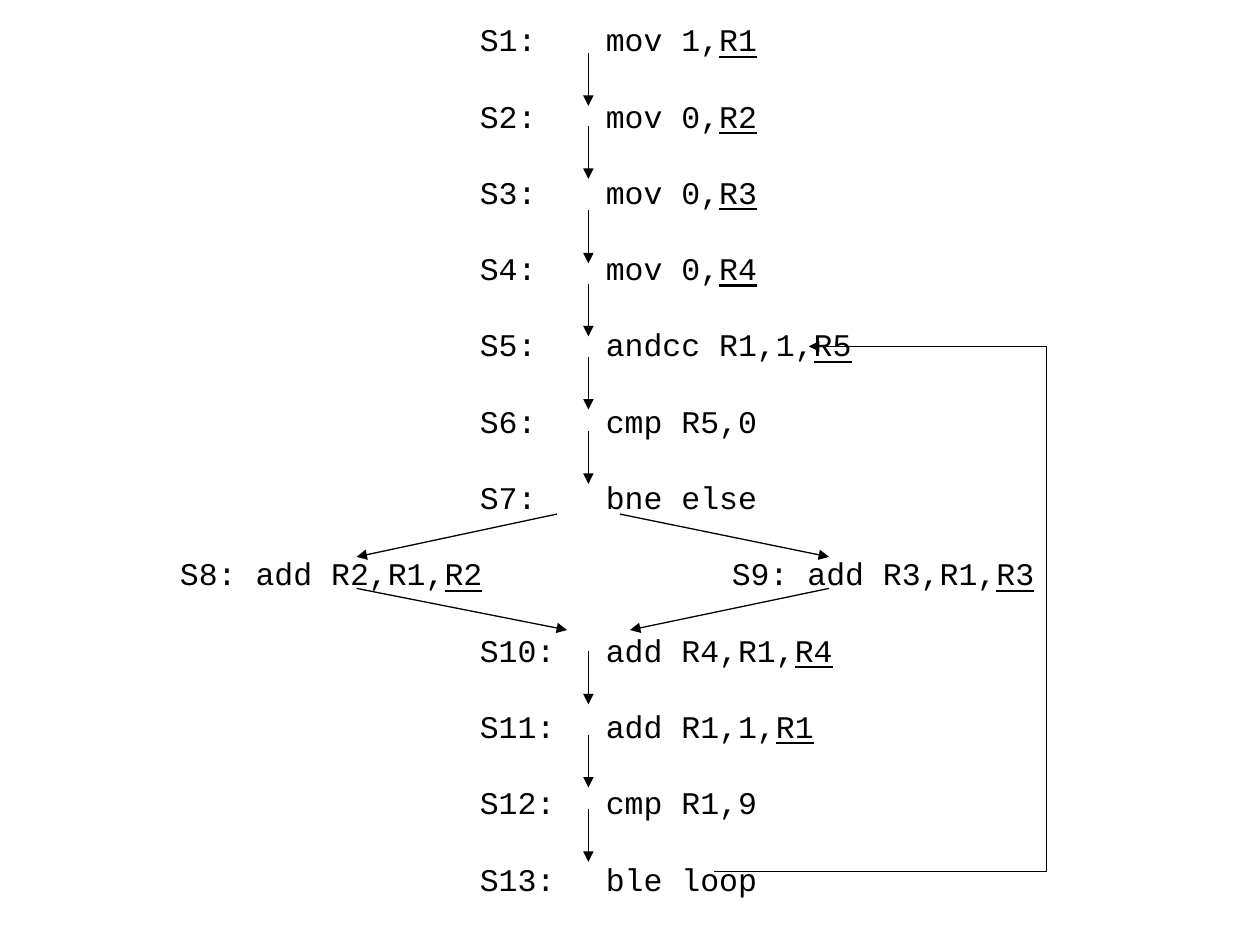
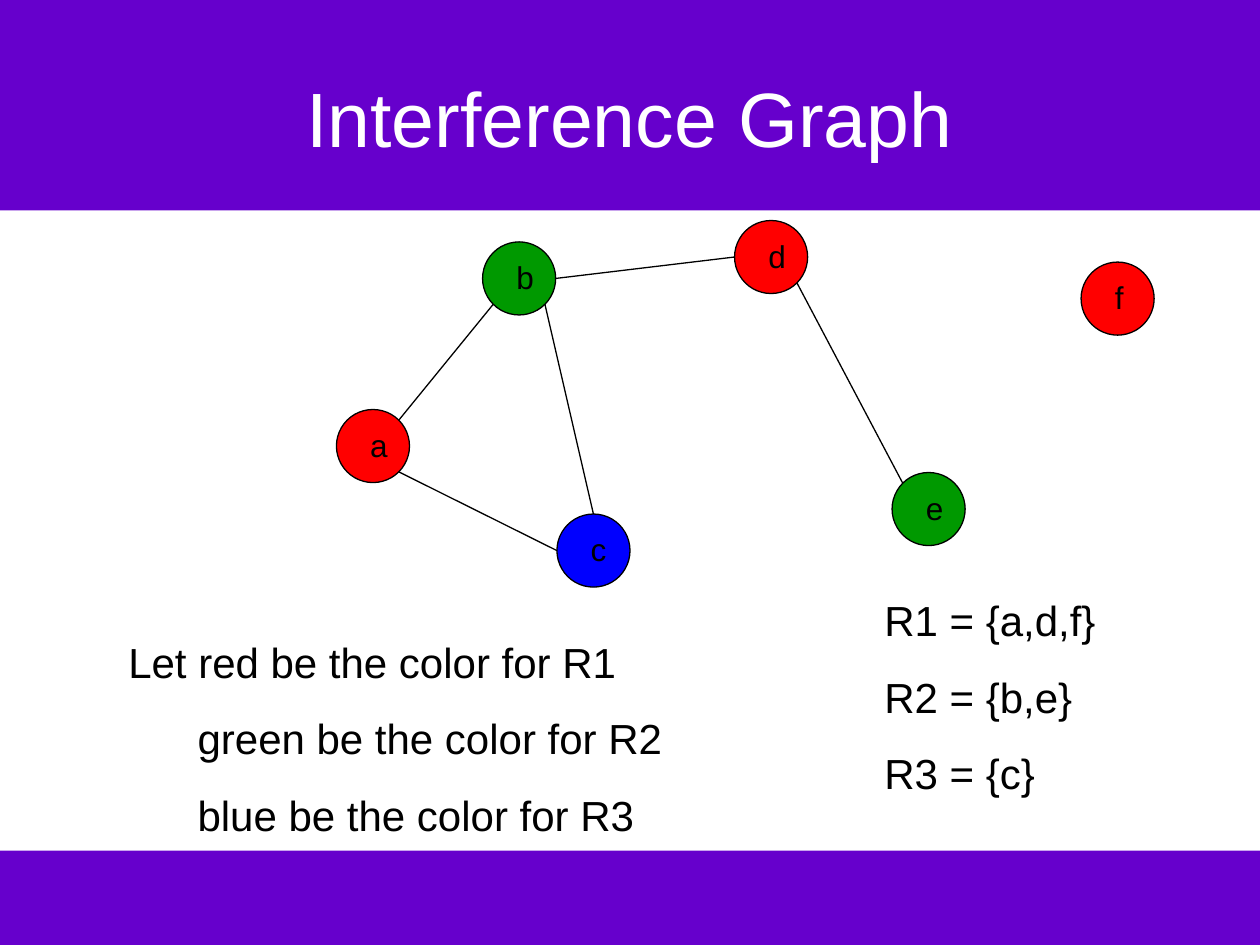
from math import cos, radians, sin

from lxml import etree
from pptx import Presentation
from pptx.dml.color import RGBColor
from pptx.enum.shapes import MSO_CONNECTOR, MSO_SHAPE
from pptx.enum.text import MSO_ANCHOR, PP_ALIGN
from pptx.oxml.ns import qn
from pptx.util import Inches, Pt

BLACK = RGBColor(0x00, 0x00, 0x00)
WHITE = RGBColor(0xFF, 0xFF, 0xFF)
PURPLE = RGBColor(0x66, 0x00, 0xCC)
RED = RGBColor(0xFF, 0x00, 0x00)
GREEN = RGBColor(0x00, 0x99, 0x00)
BLUE = RGBColor(0x00, 0x00, 0xFF)

SLIDE_WIDTH, SLIDE_HEIGHT = 10, 7.5
SANS, MONO = "Arial", "Courier New"
NODE_SIZE = 0.58

INSTRUCTIONS = [
    ("\tS1:\tmov 1,", "R1"),
    ("\tS2:\tmov 0,", "R2"),
    ("\tS3:\tmov 0,", "R3"),
    ("\tS4:\tmov 0,", "R4"),
    ("\tS5:\tandcc R1,1,", "R5"),
    ("\tS6:\tcmp R5,0",),
    ("\tS7:\tbne else",),
    ("S8: add R2,R1,", "R2", "\t\tS9: add R3,R1,", "R3"),
    ("\tS10:\tadd R4,R1,", "R4"),
    ("\tS11:\tadd R1,1,", "R1"),
    ("\tS12:\tcmp R1,9",),
    ("\tS13:\tble loop",),
]
TAB_STOPS = (2.38, 3.38, 4.38)
STEP_X, STEP_LENGTH = 4.67, 0.42
STEP_TOPS = (0.42, 1, 1.67, 2.25, 2.83, 3.42, 5.17, 5.83, 6.42)
BRANCHES = [
    ((4.42, 4.08), (2.83, 4.42)),
    ((6.58, 4.67), (5, 5)),
    ((4.92, 4.08), (6.58, 4.42)),
    ((2.83, 4.67), (4.5, 5)),
]

NODES = {
    "b": (3.83, 1.92, GREEN),
    "a": (2.67, 3.25, RED),
    "c": (4.42, 4.08, BLUE),
    "e": (7.08, 3.75, GREEN),
    "d": (5.83, 1.75, RED),
    "f": (8.58, 2.08, RED),
}
EDGES = [
    ("b", 135, "a", -45),
    ("a", 45, "c", 180),
    ("c", -90, "b", 45),
    ("b", 0, "d", 180),
    ("d", 45, "e", 225),
]


def add_text_frame(slide, left, top, width, height):
    frame = slide.shapes.add_textbox(
        Inches(left), Inches(top), Inches(width), Inches(height)).text_frame
    frame.word_wrap = True
    return frame


def format_runs(paragraph, size, font_name=SANS, color=BLACK):
    for run in paragraph.runs:
        run.font.size = Pt(size)
        run.font.name = font_name
        run.font.color.rgb = color


def add_lines(slide, box, lines, size, gap=0):
    frame = add_text_frame(slide, *box)
    frame.text = "\n".join(lines)
    for index, paragraph in enumerate(frame.paragraphs):
        if index:
            paragraph.space_before = Pt(gap)
        format_runs(paragraph, size)
    return frame


def add_line(slide, start, end, kind=MSO_CONNECTOR.STRAIGHT, arrow=False):
    line = slide.shapes.add_connector(kind, *map(Inches, start + end))
    line.line.color.rgb = BLACK
    line.line.width = Pt(0.75)
    if arrow:
        etree.SubElement(line.line._get_or_add_ln(), qn("a:tailEnd"), type="triangle")
    etree.SubElement(line._element.spPr, qn("a:effectLst"))
    return line


def add_filled_shape(slide, kind, box, color):
    shape = slide.shapes.add_shape(kind, *map(Inches, box))
    shape.shadow.inherit = False
    shape.fill.solid()
    shape.fill.fore_color.rgb = color
    shape.line.fill.background()
    return shape


def add_bands(slide):
    for top, height in ((6.75, 0.75), (0, 1.67)):
        add_filled_shape(slide, MSO_SHAPE.RECTANGLE, (0, top, SLIDE_WIDTH, height), PURPLE)


def add_title(slide, title):
    frame = add_text_frame(slide, 0.5, 0.3, 9, 1.25)
    frame.vertical_anchor = MSO_ANCHOR.MIDDLE
    frame.text = title
    frame.paragraphs[0].alignment = PP_ALIGN.CENTER
    format_runs(frame.paragraphs[0], 44, color=WHITE)


def add_instructions(slide, left, top, width, height):
    frame = add_text_frame(slide, left, top, width, height)
    for index, parts in enumerate(INSTRUCTIONS):
        paragraph = frame.add_paragraph() if index else frame.paragraphs[0]
        paragraph.line_spacing = 0.8
        if index:
            paragraph.space_before = Pt(26.3)
        tabs = etree.SubElement(paragraph._p.get_or_add_pPr(), qn("a:tabLst"))
        for stop in TAB_STOPS:
            etree.SubElement(tabs, qn("a:tab"), pos=str(Inches(stop)), algn="l")
        for position, part in enumerate(parts):
            run = paragraph.add_run()
            run.text = part
            run.font.underline = position % 2 == 1
        format_runs(paragraph, 18, MONO)


def add_control_flow(slide):
    for top in STEP_TOPS:
        add_line(slide, (STEP_X, top), (STEP_X, top + STEP_LENGTH), arrow=True)
    for start, end in BRANCHES:
        add_line(slide, start, end, arrow=True)
    loop = add_line(slide, (5.67, 6.92), (6.42, 2.75), MSO_CONNECTOR.ELBOW, arrow=True)
    adjustments = loop._element.spPr.find(qn("a:prstGeom")).find(qn("a:avLst"))
    etree.SubElement(adjustments, qn("a:gd"), name="adj1", fmla="val 351600")


def rim_point(node, angle):
    left, top, _ = NODES[node]
    radius = NODE_SIZE / 2
    return (left + radius * (1 + cos(radians(angle))),
            top + radius * (1 + sin(radians(angle))))


def add_graph(slide):
    for left, top, color in NODES.values():
        node = add_filled_shape(
            slide, MSO_SHAPE.OVAL, (left, top, NODE_SIZE, NODE_SIZE), color)
        node.line.color.rgb = BLACK
        node.line.width = Pt(0.75)
    for source, source_angle, target, target_angle in EDGES:
        add_line(slide, rim_point(source, source_angle), rim_point(target, target_angle))
    for name in sorted(NODES):
        left, top, _ = NODES[name]
        add_lines(slide, (left + 0.17, top + 0.08, 0.33, 0.4), [name], 18)


def add_color_key(slide, box):
    key = add_lines(slide, box, [
        "Let red be the color for R1",
        "green be the color for R2",
        "blue be the color for R3",
    ], 24, gap=15)
    for paragraph in key.paragraphs[1:]:
        paragraph._p.get_or_add_pPr().set("marL", str(Inches(0.55)))


def build_flow_slide(slide):
    add_instructions(slide, 1.33, 0.17, 8, 7.17)
    add_control_flow(slide)


def build_graph_slide(slide):
    add_bands(slide)
    add_title(slide, "Interference Graph")
    add_graph(slide)
    add_color_key(slide, (0.92, 5, 8.17, 2.33))
    add_lines(slide, (6.92, 4.67, 2.5, 1.72),
              ["R1 = {a,d,f}", "R2 = {b,e}", "R3 = {c}"], 24, gap=15)


def main():
    deck = Presentation()
    deck.slide_width, deck.slide_height = Inches(SLIDE_WIDTH), Inches(SLIDE_HEIGHT)
    for build in (build_flow_slide, build_graph_slide):
        build(deck.slides.add_slide(deck.slide_layouts[6]))
    deck.save("out.pptx")


if __name__ == "__main__":
    main()
